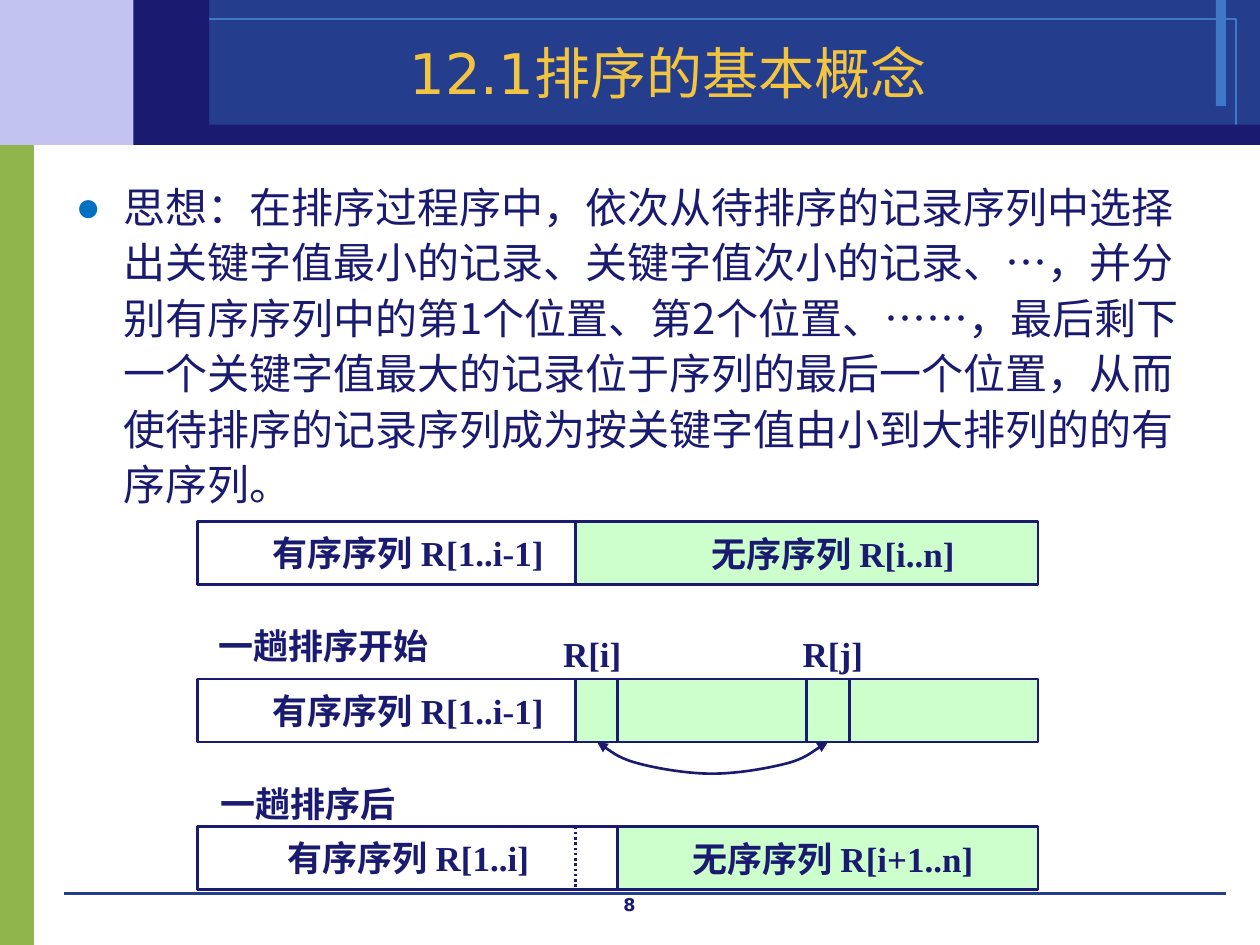
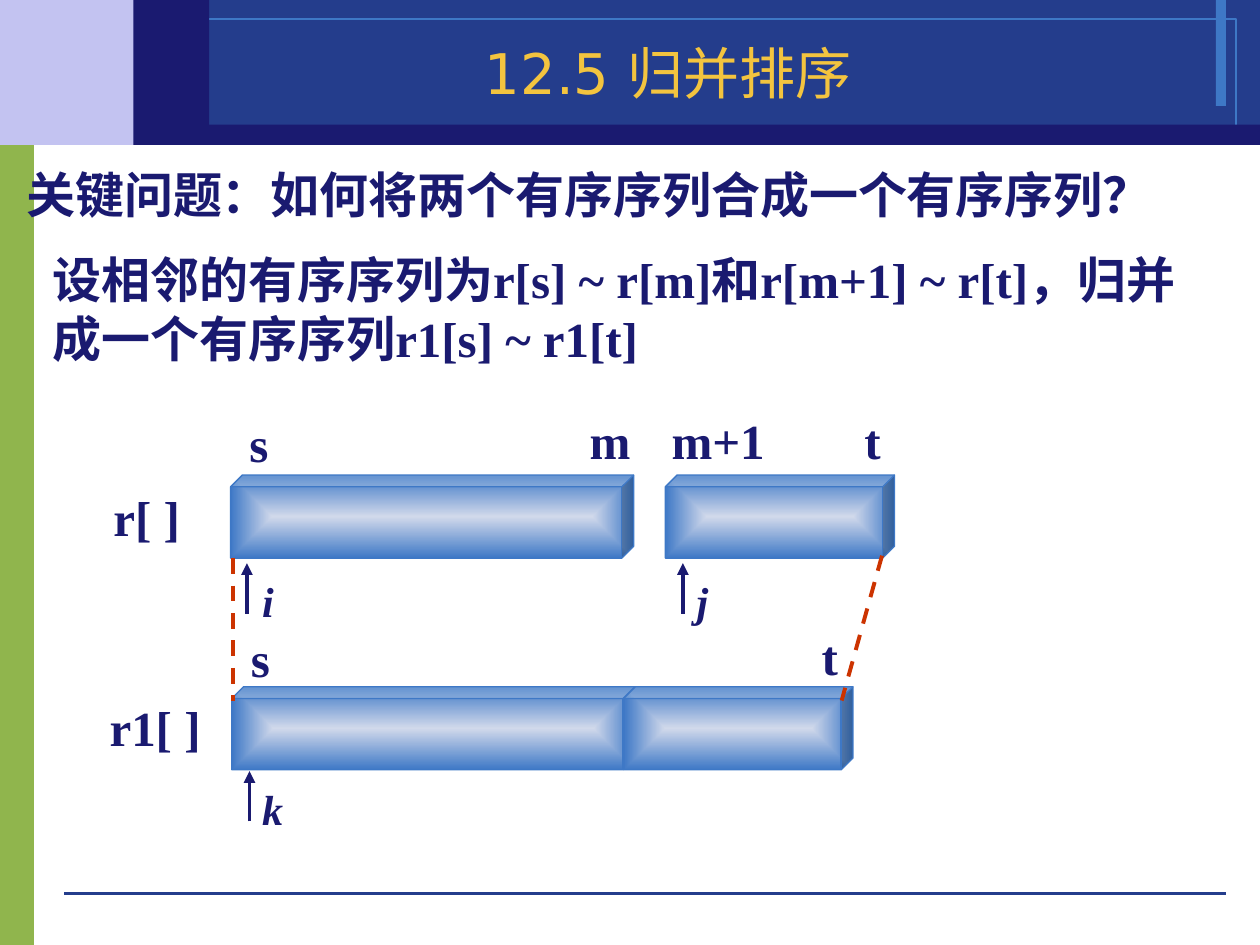
from lxml import etree
from pptx import Presentation
from pptx.dml.color import RGBColor
from pptx.enum.dml import MSO_LINE
from pptx.enum.shapes import MSO_CONNECTOR, MSO_SHAPE
from pptx.enum.text import MSO_ANCHOR, MSO_AUTO_SIZE, PP_ALIGN
from pptx.oxml import parse_xml
from pptx.oxml.ns import nsdecls, qn
from pptx.util import Inches, Pt

RECT, CUBE = MSO_SHAPE.RECTANGLE, MSO_SHAPE.CUBE
STRAIGHT = MSO_CONNECTOR.STRAIGHT
DASH, DOT = MSO_LINE.DASH, MSO_LINE.ROUND_DOT
LEFT, CENTER = PP_ALIGN.LEFT, PP_ALIGN.CENTER
MIDDLE, TOP = MSO_ANCHOR.MIDDLE, MSO_ANCHOR.TOP
NO_AUTOFIT = MSO_AUTO_SIZE.NONE
TITLE_AND_BODY, TITLE_ONLY = 1, 5

NAVY, ROYAL, SKY = "1A1A70", "243D8C", "3E78C6"
LILAC, GREEN, GOLD = "C3C3F1", "90B54D", "F3C43F"
MINT, RED, BULLET_BLUE, PALE = "CCFFCC", "CC3300", "0070C0", "D1D9EB"
SERIF, SANS, CJK = "Times New Roman", "DejaVu Sans", "Noto Sans CJK SC"


def rgb(hex_code):
    return RGBColor.from_string(hex_code)


class Deck:
    """Holds the shared style and the slide being drawn."""

    def __init__(self):
        self.prs = Presentation()
        self.prs.slide_width, self.prs.slide_height = Inches(10), Inches(7.5)
        self.slide = None

    def open_slide(self, layout, title):
        self.slide = self.prs.slides.add_slide(self.prs.slide_layouts[layout])
        if len(self.prs.slides) == 1:
            self.build_master()
        heading = self.slide.shapes.title
        self.place(heading, 1.19, 0.26, 8.23, 0.62)
        self.fill_text(heading, title, 32, SANS, GOLD, CENTER, MIDDLE, bold=False)

    def build_master(self):
        """Draw the bands once and move them to the slide master."""
        bands = [
            self.box(0, 1.07, 0.27, 6.44, GREEN),
            self.box(0, 0, 1.53, 1.15, LILAC),
            self.box(1.53, 0, 8.47, 1.15, ROYAL),
            self.box(9.65, 0, 0.08, 0.84, SKY),
            self.box(1.19, 0.15, 8.62, 0.85, None, SKY, 0),
            self.line(0.51, 7.09, 9.73, 7.09, ROYAL, 0),
            self.box(1.3, 0.99, 8.7, 0.16, NAVY),
            self.box(1.06, 0, 0.6, 1.15, NAVY),
        ]
        tree = self.prs.slide_master.shapes.element
        for order, band in enumerate(bands):
            band.element.xpath(".//p:cNvPr")[0].set("id", str(100 + order))
            tree.insert(2 + order, band.element)

    def place(self, shape, left, top, width, height):
        frame = {"left": left, "top": top, "width": width, "height": height}
        for side, length in frame.items():
            setattr(shape, side, Inches(length))

    def fill_text(self, shape, text, size, font=SERIF, color=NAVY, align=LEFT,
                  anchor=TOP, bold=True, italic=False, spacing=None):
        frame = shape.text_frame
        for name, value in {"word_wrap": True, "auto_size": NO_AUTOFIT,
                            "vertical_anchor": anchor}.items():
            setattr(frame, name, value)
        paragraph = frame.paragraphs[0]
        paragraph.alignment = align
        paragraph.space_before = Pt(0)
        if spacing:
            paragraph.line_spacing = Pt(round(size * spacing, 1))
        run = paragraph.add_run()
        run.text = text
        for name, value in {"size": Pt(size), "name": font, "bold": bold,
                            "italic": italic}.items():
            setattr(run.font, name, value)
        run.font.color.rgb = rgb(color)
        latin = run.font._element.find(qn("a:latin"))
        latin.addnext(parse_xml(f'<a:ea {nsdecls("a")} typeface="{CJK}"/>'))
        return paragraph

    def text(self, left, top, width, height, text, size, inset=True, **style):
        label = self.slide.shapes.add_textbox(
            Inches(left), Inches(top), Inches(width), Inches(height))
        if not inset:
            for side in ("left", "top", "right", "bottom"):
                setattr(label.text_frame, f"margin_{side}", 0)
        self.fill_text(label, text, size, **{"spacing": 1.2, **style})

    def bullet(self, left, top, width, height, text):
        body = self.slide.placeholders[1]
        self.place(body, left, top, width, height)
        paragraph = self.fill_text(body, text, 24, CJK, bold=False, spacing=1.32)
        props = paragraph._p.get_or_add_pPr()
        props.set("marL", str(Inches(0.38)))
        props.set("indent", str(-Inches(0.38)))
        for xml in (f'<a:buClr {nsdecls("a")}><a:srgbClr val="{BULLET_BLUE}"/></a:buClr>',
                    f'<a:buChar {nsdecls("a")} char="●"/>'):
            props.append(parse_xml(xml))

    def stroke(self, shape, color, width, dash=None, head=False, tail=False):
        shape.line.color.rgb = rgb(color)
        shape.line.width = Pt(width)
        if dash:
            shape.line.dash_style = dash
        outline = shape.element.spPr.find(qn("a:ln"))
        for end, wanted in (("a:headEnd", head), ("a:tailEnd", tail)):
            if wanted:
                etree.SubElement(outline, qn(end)).set("type", "triangle")

    def box(self, left, top, width, height, fill=None, line=None, weight=1.5, kind=RECT):
        shape = self.slide.shapes.add_shape(
            kind, Inches(left), Inches(top), Inches(width), Inches(height))
        shape.shadow.inherit = False
        if fill:
            shape.fill.solid()
            shape.fill.fore_color.rgb = rgb(fill)
        else:
            shape.fill.background()
        if line:
            self.stroke(shape, line, weight)
        else:
            shape.line.fill.background()
        return shape

    def cube(self, left, top, width):
        """A block whose front glows from its centre."""
        block = self.box(left, top, width, 0.66, None, SKY, 0.75, CUBE)
        block.adjustments[0] = 0.143
        props = block.element.spPr
        glow = parse_xml(
            f'<a:gradFill {nsdecls("a")} rotWithShape="1"><a:gsLst>'
            f'<a:gs pos="0"><a:srgbClr val="{PALE}"/></a:gs>'
            f'<a:gs pos="100000"><a:srgbClr val="{SKY}"/></a:gs></a:gsLst>'
            '<a:path path="rect"><a:fillToRect l="50000" t="50000" r="50000" b="50000"/>'
            '</a:path></a:gradFill>')
        props.replace(props.find(qn("a:noFill")), glow)

    def line(self, x1, y1, x2, y2, color=NAVY, width=1.5, **ends):
        link = self.slide.shapes.add_connector(
            STRAIGHT, Inches(x1), Inches(y1), Inches(x2), Inches(y2))
        self.stroke(link, color, width, **ends)
        etree.SubElement(link.element.spPr, qn("a:effectLst"))
        return link

    def curve(self, points):
        """A double-headed curve: a start, then three points per segment."""
        (start, *rest) = [(Inches(x), Inches(y)) for x, y in points]
        builder = self.slide.shapes.build_freeform(*start)
        builder.add_line_segments(rest, close=False)
        swap = builder.convert_to_shape()
        swap.shadow.inherit = False
        swap.fill.background()
        self.stroke(swap, NAVY, 1.5, head=True, tail=True)
        outline = swap.element.xpath(".//a:path")[0]
        steps = outline.findall(qn("a:lnTo"))
        for first in range(0, len(steps), 3):
            segment = etree.SubElement(outline, qn("a:cubicBezTo"))
            for step in steps[first:first + 3]:
                segment.append(step[0])
                outline.remove(step)


def selection_sort(deck):
    deck.open_slide(TITLE_AND_BODY, "12.1排序的基本概念")
    deck.bullet(0.5, 1.35, 9, 2.12,
                "思想：在排序过程序中，依次从待排序的记录序列中选择出关键字值最小的记录、"
                "关键字值次小的记录、…，并分别有序序列中的第1个位置、第2个位置、……，"
                "最后剩下一个关键字值最大的记录位于序列的最后一个位置，"
                "从而使待排序的记录序列成为按关键字值由小到大排列的的有序序列。")

    # Sequence bars: top, unsorted start, sorted end, labels
    left, right, height = 1.57, 8.24, 0.5
    bars = [
        (4.14, 4.57, 4.57, "有序序列 R[1..i-1]", "无序序列 R[i..n]"),
        (5.39, 4.57, 4.9, "有序序列 R[1..i-1]", None),
        (6.56, 4.9, 4.9, "有序序列 R[1..i]", "无序序列 R[i+1..n]"),
    ]
    for top, unsorted_start, sorted_end, sorted_label, unsorted_label in bars:
        deck.box(unsorted_start, top, right - unsorted_start, height, MINT, NAVY)
        deck.box(left, top, sorted_end - left, height, None, NAVY)
        deck.text(1.74, top + 0.08, 3, 0.33, sorted_label, 20, inset=False, align=CENTER)
        if unsorted_label:
            deck.text(5.07, top + 0.09, 3.08, 0.33, unsorted_label, 20,
                      inset=False, align=CENTER)

    # Cell dividers and the exchange of R[i] and R[j]
    for x, top, dash in ((6.4, 5.39, None), (6.74, 5.39, None), (4.57, 6.56, DOT)):
        deck.line(x, top, x, top + height, dash=dash)
    deck.curve([(4.74, 5.89), (4.83, 5.95), (4.92, 6.02), (5.07, 6.06),
                (5.22, 6.1), (5.46, 6.14), (5.65, 6.14),
                (5.85, 6.14), (6.08, 6.1), (6.24, 6.06),
                (6.39, 6.02), (6.51, 5.92), (6.57, 5.89)])

    # Captions and page number
    for x, top, width, caption in ((6.15, 4.97, 0.92, "R[j]"), (4.24, 4.97, 0.92, "R[i]"),
                                   (1.57, 4.91, 2, "一趟排序开始"),
                                   (1.57, 6.16, 1.75, "一趟排序后")):
        deck.text(x, top, width, 0.43, caption, 20, align=CENTER)
    deck.text(3.83, 7.05, 2.33, 0.25, "8", 10, font=SANS, align=CENTER)


def merge_sort(deck):
    deck.open_slide(TITLE_ONLY, "12.5 归并排序")
    deck.text(0.11, 1.26, 9.61, 0.57,
              "关键问题：如何将两个有序序列合成一个有序序列？", 28, font=CJK)
    deck.text(0.32, 1.93, 9.18, 1.03,
              "设相邻的有序序列为r[s] ~ r[m]和r[m+1] ~ r[t]，归并成一个有序序列r1[s] ~ r1[t]", 28)

    # Source runs above, merged run below
    for x, top, width in ((1.83, 3.77, 3.2), (5.28, 3.77, 1.82),
                          (1.84, 5.45, 3.2), (4.95, 5.45, 1.82)):
        deck.cube(x, top, width)
    for x, top, mark in ((1.98, 3.28, "s"), (4.68, 3.26, "m"), (5.33, 3.26, "m+1"),
                         (6.86, 3.26, "t"), (0.9, 3.87, "r[ ]"),
                         (1.99, 4.99, "s"), (6.52, 4.97, "t"), (0.87, 5.54, "r1[ ]")):
        deck.text(x, top, 0.3 + 0.25 * len(mark), 0.47, mark, 28, inset=False)

    # Range guides
    deck.line(1.85, 4.43, 1.85, 5.56, RED, 2.25, dash=DASH)
    deck.line(7, 4.41, 6.68, 5.56, RED, 2.25, dash=DASH)

    # Index pointers
    for x, tip, label_x, index in ((1.96, 4.47, 2.08, "i"), (5.42, 4.47, 5.53, "j"),
                                   (1.98, 6.12, 2.08, "k")):
        deck.line(x, tip + 0.4, x, tip, NAVY, 2.25, tail=True)
        deck.text(label_x, tip + 0.1, 0.4, 0.4, index, 24, inset=False, italic=True)


def main():
    deck = Deck()
    selection_sort(deck)
    merge_sort(deck)
    deck.prs.save("out.pptx")


if __name__ == "__main__":
    main()
